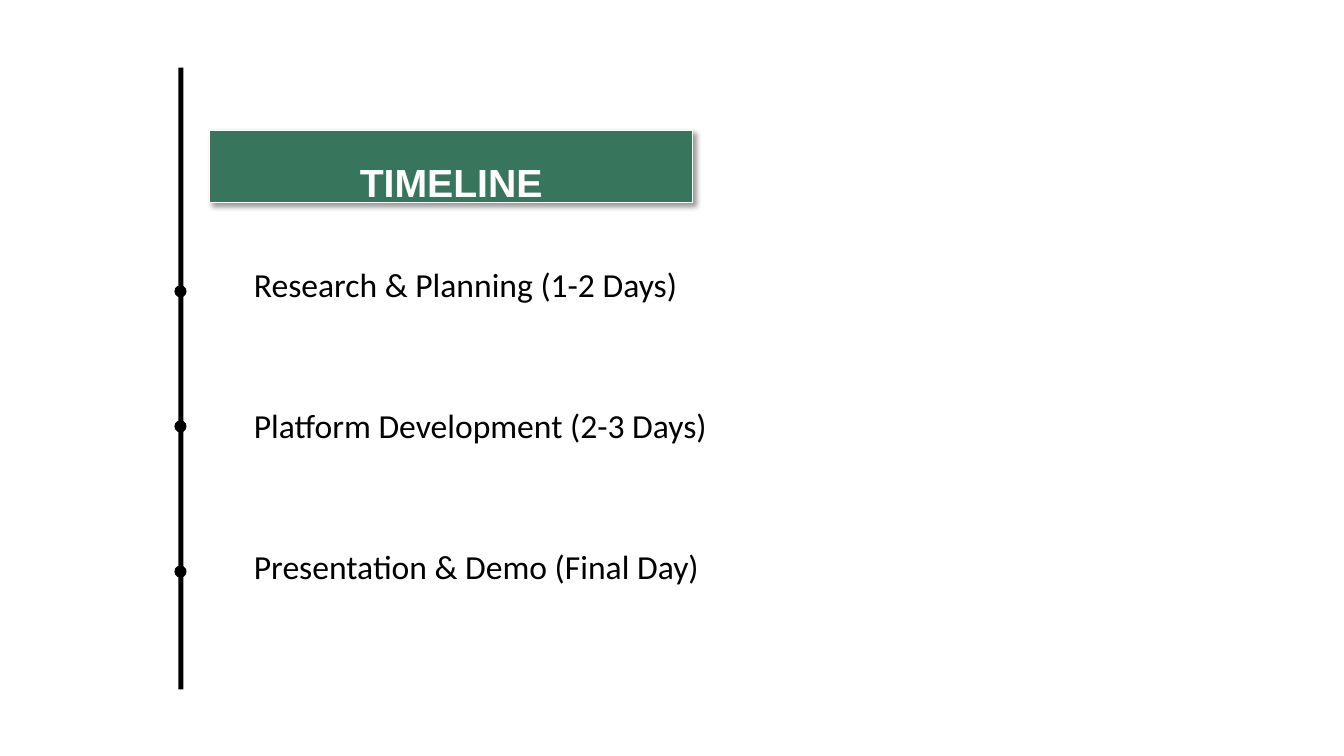
from lxml import etree
from pptx import Presentation
from pptx.dml.color import RGBColor
from pptx.enum import shapes, text
from pptx.oxml import ns
from pptx.util import Inches, Pt

# Content
TITLE = "TIMELINE"
STAGES = [  # label, width of label, centre of dot
    ("Research & Planning (1-2 Days)", 4.59, 2.89),
    ("Platform Development (2-3 Days)", 4.74, 4.23),
    ("Presentation & Demo (Final Day)", 4.66, 5.67),
]

# Layout and formats
AXIS, DOT = 1.79, 0.12
LEFT, TOP, STEP = 2.42, 2.57, 1.4
BLACK, WHITE, GREEN = "000000", "FFFFFF", "37765C"
HEAD = {"name": "Arial", "size": Pt(28), "bold": True}
BODY = {"name": "Calibri", "size": Pt(24)}
KIND = shapes.MSO_SHAPE

deck = Presentation()
deck.slide_width, deck.slide_height = Inches(13.33), Inches(7.5)
slide = deck.slides.add_slide(deck.slide_layouts[6])


def paint(part, color):
    part.rgb = RGBColor.from_string(color)


def draw(kind, box, color):
    shape = slide.shapes.add_shape(kind, *map(Inches, box))
    shape.shadow.inherit = False
    shape.fill.solid()
    paint(shape.fill.fore_color, color)
    shape.line.fill.background()
    return shape


def write(shape, words, style, color):
    para = shape.text_frame.paragraphs[0]
    run = para.add_run()
    run.text = words
    for key, value in style.items():
        setattr(run.font, key, value)
    paint(run.font.color, color)
    return para


def shade(shape):
    effects = shape._element.spPr.find(ns.qn("a:effectLst"))
    shadow = etree.SubElement(
        effects, ns.qn("a:outerShdw"), blurRad=str(Pt(4)), dist=str(Pt(3)),
        dir="2700000", algn="tl", rotWithShape="0")
    tone = etree.SubElement(shadow, ns.qn("a:srgbClr"), val=BLACK)
    etree.SubElement(tone, ns.qn("a:alpha"), val="40000")


# Axis
draw(KIND.RECTANGLE, (AXIS - 0.02, 0.67, 0.05, 6.17), BLACK)

# Title banner
banner = draw(KIND.RECTANGLE, (2.08, 1.29, 4.79, 0.72), GREEN)
banner.line.width = Pt(0.75)
paint(banner.line.color, WHITE)
shade(banner)
banner.text_frame.vertical_anchor = text.MSO_ANCHOR.TOP
para = write(banner, TITLE, HEAD, WHITE)
para.alignment = text.PP_ALIGN.CENTER
para.line_spacing = 1.5

# Stages with their dots
for row, (label, width, mid) in enumerate(STAGES):
    draw(KIND.OVAL, (AXIS - DOT / 2, mid - DOT / 2, DOT, DOT), BLACK)
    box = slide.shapes.add_textbox(
        *map(Inches, (LEFT, TOP + row * STEP, width, 0.5)))
    box.text_frame.word_wrap = False
    box.text_frame.auto_size = text.MSO_AUTO_SIZE.SHAPE_TO_FIT_TEXT
    write(box, label, BODY, BLACK)

deck.save("out.pptx")
